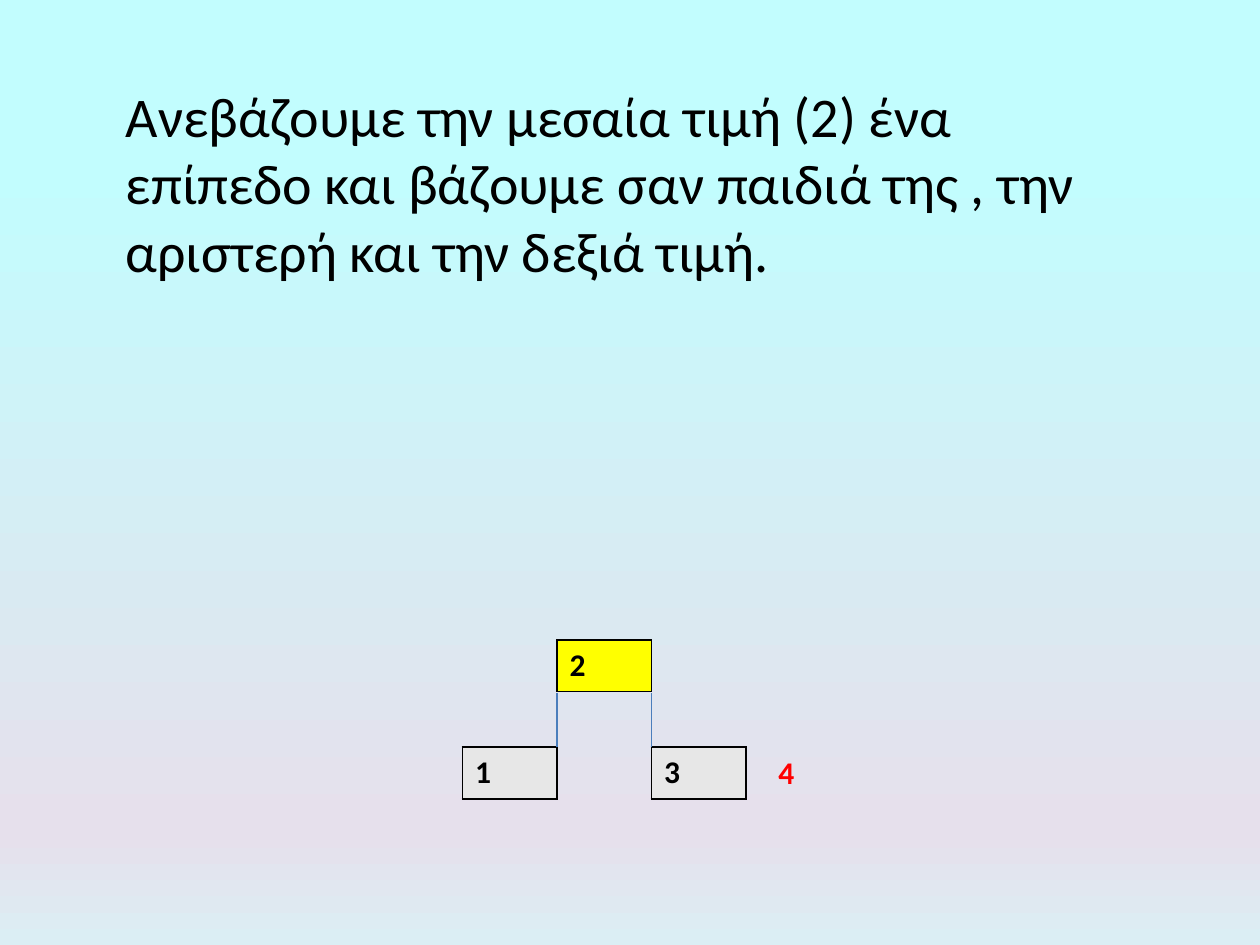
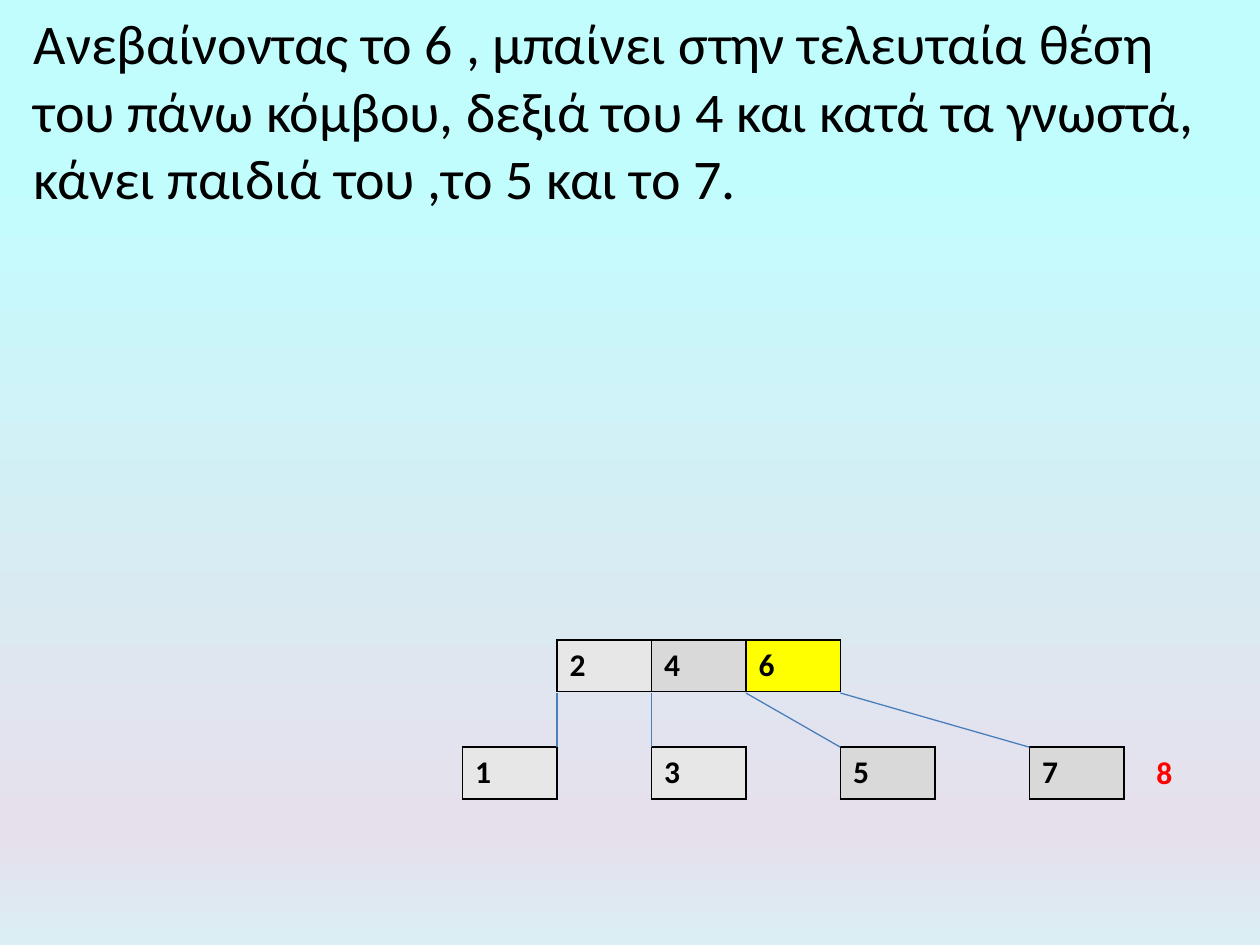
from dataclasses import dataclass

from lxml.etree import SubElement
from pptx import Presentation
from pptx.dml.color import RGBColor
from pptx.enum.shapes import MSO_CONNECTOR
from pptx.enum.text import MSO_AUTO_SIZE
from pptx.oxml.ns import qn
from pptx.util import Inches, Pt


@dataclass(frozen=True)
class Theme:
    font: str = "Calibri"
    ink: str = "000000"
    incoming: str = "FF0000"
    raised: str = "FFFF00"
    left_key: str = "E7E7E7"
    right_key: str = "D9D9D9"
    edge: str = "4B7EBC"
    backdrop: tuple = ((17, "C2FDFE"), (88, "E6E0EC"), (100, "DBEEF4"))
    body_size: int = 32
    key_size: int = 18
    border_width: float = 1
    edge_width: float = 0.75


WIDTH, HEIGHT = 10, 7.5
GRID_LEFT, KEY_WIDTH, KEY_HEIGHT = 3.67, 0.75, 0.41
PARENT, CHILD = 0, 1
ROW_TOP = (5.08, 5.93)
PARENT_BOTTOM = 5.5
INCOMING_GAP = 0.16


def column_x(col):
    return Inches(GRID_LEFT + col * KEY_WIDTH)


class TreeDeck:
    """Draws B-tree steps; keys sit on a grid of equal columns and two levels."""

    def __init__(self, theme):
        self.theme = theme
        self.prs = Presentation()
        self.prs.slide_width = Inches(WIDTH)
        self.prs.slide_height = Inches(HEIGHT)
        self.slide = None

    def new_slide(self):
        self.slide = self.prs.slides.add_slide(self.prs.slide_layouts[6])
        fill = self.slide.background.fill
        fill.gradient()
        fill.gradient_angle = 270
        stops = self.slide.element.find(".//" + qn("a:gsLst"))
        for stop in list(stops):
            stops.remove(stop)
        for percent, color in self.theme.backdrop:
            stop = SubElement(stops, qn("a:gs"), pos=str(percent * 1000))
            SubElement(stop, qn("a:srgbClr"), val=color)

    def add_text(self, tf, text, size, color, bold=False):
        r = tf.paragraphs[0].add_run()
        r.text = text
        style = {"name": self.theme.font, "size": Pt(size), "bold": bold}
        for name, value in style.items():
            setattr(r.font, name, value)
        r.font.color.rgb = RGBColor.from_string(color)

    def text_box(self, box, text, size, color, bold=False):
        tf = self.slide.shapes.add_textbox(*box).text_frame
        tf.word_wrap = True
        tf.auto_size = MSO_AUTO_SIZE.SHAPE_TO_FIT_TEXT
        self.add_text(tf, text, size, color, bold)

    def explanation(self, text, left, top, width, height):
        """Takes the box as shares of the slide's width and height."""
        w, h = self.prs.slide_width, self.prs.slide_height
        box = [int(v) for v in (left * w, top * h, width * w, height * h)]
        self.text_box(box, text, self.theme.body_size, self.theme.ink)

    def incoming(self, text, col):
        """Shows the next value to insert, just right of the last leaf."""
        box = (column_x(col) + Inches(INCOMING_GAP), Inches(ROW_TOP[CHILD]),
               Inches(KEY_WIDTH), Inches(0.4))
        self.text_box(box, text, self.theme.key_size, self.theme.incoming, True)

    def key(self, text, col, level, color):
        table = self.slide.shapes.add_table(
            1, 1, column_x(col), Inches(ROW_TOP[level]),
            Inches(KEY_WIDTH), Inches(KEY_HEIGHT)).table
        table.first_row = table.horz_banding = False
        cell = table.cell(0, 0)
        cell.fill.solid()
        cell.fill.fore_color.rgb = RGBColor.from_string(color)
        self.add_text(cell.text_frame, text, self.theme.key_size, self.theme.ink, True)
        self.borders(cell)

    def borders(self, cell):
        tc_pr = cell._tc.get_or_add_tcPr()
        for i, side in enumerate("LRTB"):
            ln = SubElement(tc_pr, qn("a:ln" + side), w=str(int(Pt(self.theme.border_width))))
            SubElement(SubElement(ln, qn("a:solidFill")), qn("a:srgbClr"),
                       val=self.theme.ink)
            tc_pr.insert(i, ln)

    def edge(self, parent_col, child_col):
        sp = self.slide.shapes.add_connector(
            MSO_CONNECTOR.STRAIGHT, column_x(parent_col), Inches(PARENT_BOTTOM),
            column_x(child_col), Inches(ROW_TOP[CHILD]))
        sp.line.color.rgb = RGBColor.from_string(self.theme.edge)
        sp.line.width = Pt(self.theme.edge_width)
        SubElement(sp._element.spPr, qn("a:effectLst"))

    def tree(self, keys, edges):
        for key in keys:
            self.key(*key)
        for edge in edges:
            self.edge(*edge)


def main():
    theme = Theme()
    deck = TreeDeck(theme)
    left_leaves = [("1", 0, CHILD, theme.left_key), ("3", 2, CHILD, theme.left_key)]
    left_edges = [(1, 1), (2, 2)]

    deck.new_slide()
    deck.explanation(
        "Ανεβάζουμε την μεσαία τιμή (2) ένα επίπεδο και βάζουμε σαν παιδιά της , "
        "την αριστερή και την δεξιά τιμή.", 0.09, 0.08, 0.81, 0.23)
    deck.tree([("2", 1, PARENT, theme.raised)] + left_leaves, left_edges)
    deck.incoming("4", 3)

    deck.new_slide()
    deck.explanation(
        "Ανεβαίνοντας το 6 , μπαίνει στην τελευταία θέση του πάνω κόμβου, δεξιά του 4 "
        "και κατά τα γνωστά, κάνει παιδιά του ,το 5 και το 7.",
        0.017, 0.003, 0.967, 0.23)
    deck.tree([("2", 1, PARENT, theme.left_key)] + left_leaves + [
        ("4", 2, PARENT, theme.right_key),
        ("6", 3, PARENT, theme.raised),
        ("5", 4, CHILD, theme.right_key),
        ("7", 6, CHILD, theme.right_key),
    ], left_edges + [(3, 4), (4, 6)])
    deck.incoming("8", 7)

    deck.prs.save("out.pptx")


if __name__ == "__main__":
    main()
